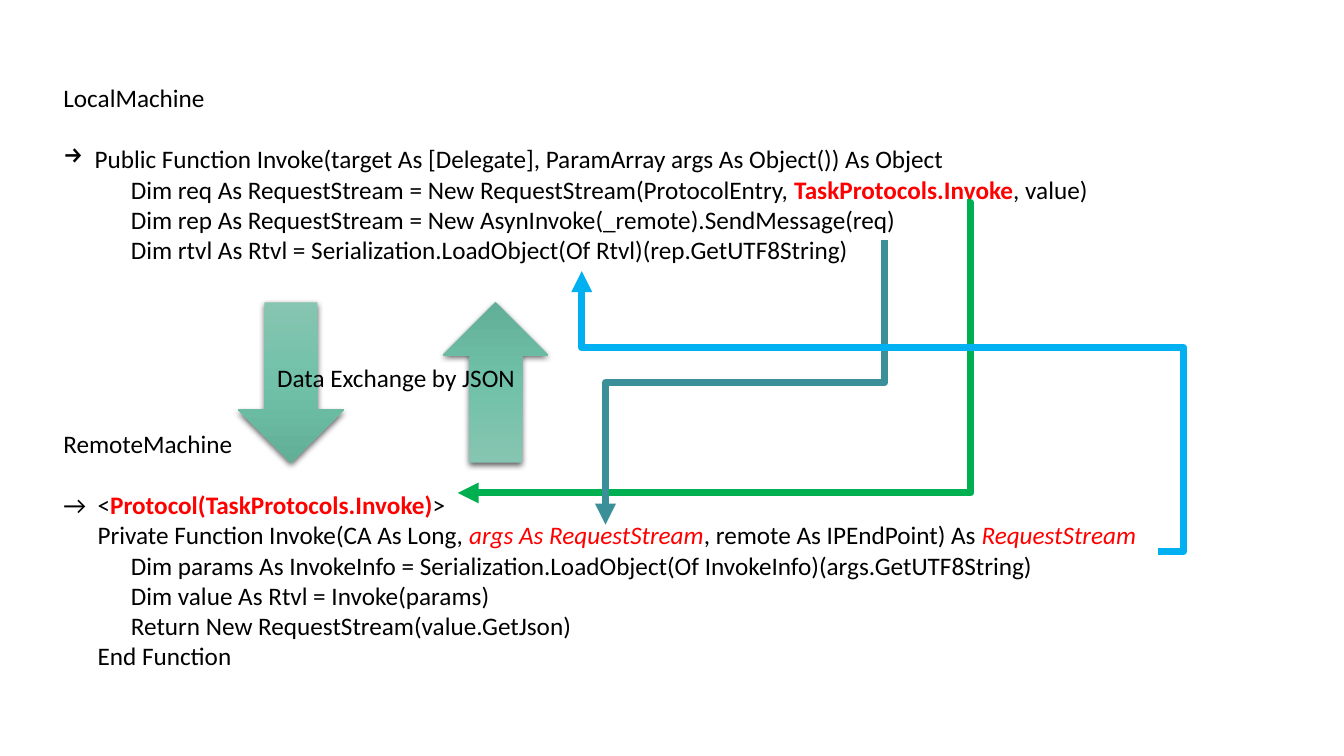
from lxml import etree
from pptx import Presentation
from pptx.dml.color import RGBColor
from pptx.enum.shapes import MSO_CONNECTOR, MSO_SHAPE
from pptx.enum.text import MSO_AUTO_SIZE
from pptx.oxml import parse_xml
from pptx.oxml.ns import nsdecls, qn
from pptx.util import Pt

ELBOW = MSO_CONNECTOR.ELBOW
DOWN = MSO_SHAPE.DOWN_ARROW
GROW = MSO_AUTO_SIZE.SHAPE_TO_FIT_TEXT
PX = 9144  # 100 px to the inch
FONT = "Calibri"
COLORS = {
    "text": "000000", "mark": "FF0000", "green": "00B050",
    "teal": "3A8F98", "blue": "00B0F0",
    "light": "86C5B1", "mid": "71C1A8", "dark": "61AF97",
}
BODY, CODE = 34, 67  # code indents
BOLD, ITALIC = "bold", "italic"

# Each line: left margin, hanging indent, bullet, runs of (text, style)
LOCAL = [
    (0, 0, "", [("LocalMachine", "")]),
    (31, -31, "→", [("Public Function Invoke(target As [Delegate], "
                     "ParamArray args As Object()) As Object", "")]),
    (CODE, 0, "", [
        ("Dim req As RequestStream = New RequestStream(ProtocolEntry, ", ""),
        ("TaskProtocols.Invoke", BOLD), (", value)", "")]),
    (CODE, 0, "", [("Dim rep As RequestStream = "
                    "New AsynInvoke(_remote).SendMessage(req)", "")]),
    (CODE, 0, "", [("Dim rtvl As Rtvl = Serialization.LoadObject(Of Rtvl)"
                    "(rep.GetUTF8String)", "")]),
]
REMOTE = [
    (0, 0, "", [("RemoteMachine", "")]),
    (BODY, -BODY, "", [("→\t<", ""),
                       ("Protocol(TaskProtocols.Invoke)", BOLD), (">", "")]),
    (BODY, 0, "", [
        ("Private Function Invoke(CA As Long, ", ""),
        ("args As RequestStream", ITALIC),
        (", remote As IPEndPoint) As ", ""), ("RequestStream", ITALIC)]),
    (CODE, 0, "", [("Dim params As InvokeInfo = Serialization.LoadObject"
                    "(Of InvokeInfo)(args.GetUTF8String)", "")]),
    (CODE, 0, "", [("Dim value As Rtvl = Invoke(params)", "")]),
    (CODE, 0, "", [("Return New RequestStream(value.GetJson)", "")]),
    (BODY, 0, "", [("End Function", "")]),
]
LABEL = [(0, 0, "", [("Data Exchange by JSON", "")])]


def add_text(slide, box, lines):
    """Place code lines, with a one-line gap after the heading."""
    frame = slide.shapes.add_textbox(*(n * PX for n in box)).text_frame
    frame.word_wrap = False
    frame.auto_size = GROW
    for i, (left, hang, bullet, runs) in enumerate(lines):
        para = frame.paragraphs[0] if i == 0 else frame.add_paragraph()
        para.space_before = Pt(22 if i == 1 else 0)
        props = para._p.get_or_add_pPr()
        props.set("marL", str(left * PX))
        props.set("indent", str(hang * PX))
        if bullet:
            etree.SubElement(props, qn("a:buChar")).set("char", bullet)
        for text, style in runs:
            run = para.add_run()
            run.text = text
            font = run.font
            font.name, font.size = FONT, Pt(18)
            font.bold, font.italic = style == BOLD, style == ITALIC
            color = COLORS["mark" if style else "text"]
            font.color.rgb = RGBColor.from_string(color)


def add_flow(slide, start, end, color, turn, bends):
    """Draw an elbow arrow; the ends are given before the turn."""
    flow = slide.shapes.add_connector(
        ELBOW, *(n * PX for n in (*start, *end)))
    flow.line.color.rgb = RGBColor.from_string(COLORS[color])
    flow.line.width = Pt(5)
    props = flow._element.spPr
    if turn:
        props.find(qn("a:xfrm")).set("rot", str(turn * 60000))
    # Bend places
    geom = props.find(qn("a:prstGeom"))
    geom.set("prst", f"bentConnector{len(bends) + 2}")
    guides = geom.find(qn("a:avLst"))
    for i, bend in enumerate(bends, 1):
        guide = etree.SubElement(guides, qn("a:gd"))
        guide.set("name", f"adj{i}")
        guide.set("fmla", f"val {round(bend * 1000)}")
    # Arrowhead, no shadow
    tail = etree.SubElement(props.find(qn("a:ln")), qn("a:tailEnd"))
    tail.set("type", "triangle")
    etree.SubElement(props, qn("a:effectLst"))


def add_arrow(slide, box, turn):
    """Draw a shaded block arrow with a soft shadow."""
    arrow = slide.shapes.add_shape(DOWN, *(n * PX for n in box))
    arrow.rotation = turn
    props = arrow._element.spPr
    stops = "".join(
        f'<a:gs pos="{pos}"><a:srgbClr val="{COLORS[name]}"/></a:gs>'
        for pos, name in ((0, "light"), (50000, "mid"), (100000, "dark")))
    props.append(parse_xml(
        f'<a:gradFill {nsdecls("a")} rotWithShape="1"><a:gsLst>{stops}'
        '</a:gsLst><a:lin ang="5400000" scaled="0"/></a:gradFill>'))
    arrow.line.fill.background()
    props.append(parse_xml(
        f'<a:effectLst {nsdecls("a")}><a:outerShdw blurRad="{Pt(4.5)}" '
        f'dist="{Pt(1.5)}" dir="5400000" algn="ctr" rotWithShape="0">'
        f'<a:srgbClr val="{COLORS["text"]}"><a:alpha val="63000"/>'
        '</a:srgbClr></a:outerShdw></a:effectLst>'))


def add_links(slide):
    """Link the local calls with the remote ones."""
    add_flow(slide, (454, 489), (959, 201), "green", 180, [-0.8])
    add_flow(slide, (598, 241), (880, 518), "teal", 90, [50])
    add_flow(slide, (1149, 547), (577, 269), "blue", 0, [-4.4, 72.7])


def add_swap(slide, box):
    """Draw the pair of arrows and their label."""
    left, top, width, height = box
    wide = 105
    for x, turn in ((left, 0), (left + width - wide, 180)):
        add_arrow(slide, (x, top, wide, height), turn)
    add_text(slide, (left + 29, top + 55, 259, 40), LABEL)


def main():
    deck = Presentation()
    deck.slide_width, deck.slide_height = 1333 * PX, 750 * PX
    slide = deck.slides.add_slide(deck.slide_layouts[6])
    add_text(slide, (53, 77, 1048, 192), LOCAL)
    add_text(slide, (53, 420, 1096, 252), REMOTE)
    add_links(slide)
    add_swap(slide, (236, 300, 308, 159))
    deck.save("out.pptx")


if __name__ == "__main__":
    main()
